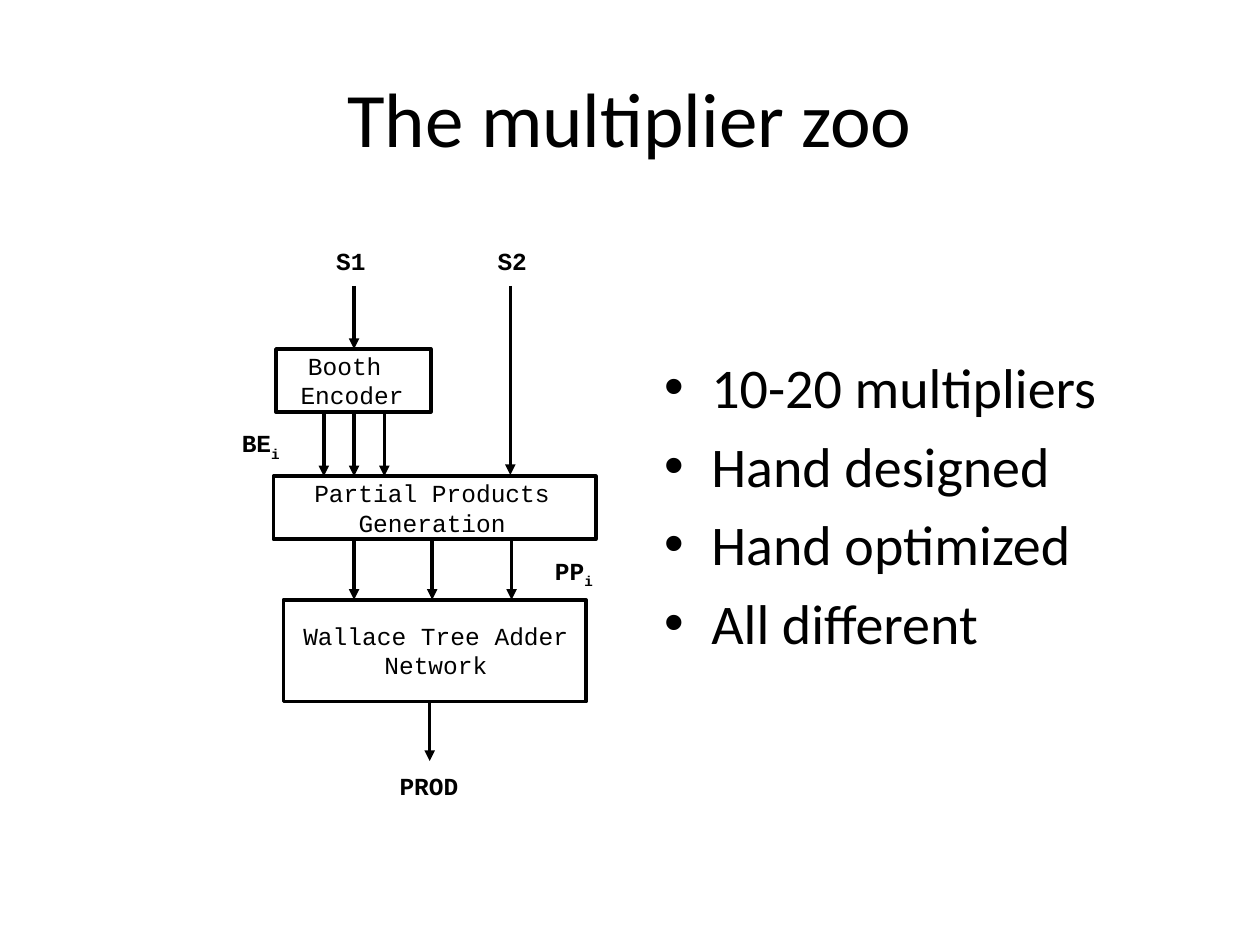
import pptx
import pptx.dml.color
import pptx.enum.shapes
import pptx.enum.text
import pptx.oxml
import pptx.oxml.ns
import pptx.util
from pptx.util import Inches

BLACK = pptx.dml.color.RGBColor(0x00, 0x00, 0x00)
WHITE = pptx.dml.color.RGBColor(0xFF, 0xFF, 0xFF)


class DiagramSlide:
    """Holds the style and the current slide, and adds each kind of element."""

    text_font = "Calibri"
    diagram_font = "Courier New"
    label_size = pptx.util.Pt(14)
    line_width = pptx.util.Pt(2)

    def __init__(self, presentation):
        self.slide = presentation.slides.add_slide(presentation.slide_layouts[1])

    def format_font(self, paragraph, name, size, bold=None):
        paragraph.font.name = name
        paragraph.font.size = size
        paragraph.font.bold = bold
        paragraph.font.color.rgb = BLACK

    def place(self, shape, left, top, width, height):
        shape.left, shape.top = Inches(left), Inches(top)
        shape.width, shape.height = Inches(width), Inches(height)

    def title(self, text, bounds):
        shape = self.slide.shapes.title
        self.place(shape, *bounds)
        shape.text_frame.text = text
        shape.text_frame.vertical_anchor = pptx.enum.text.MSO_ANCHOR.MIDDLE
        paragraph = shape.text_frame.paragraphs[0]
        paragraph.alignment = pptx.enum.text.PP_ALIGN.CENTER
        self.format_font(paragraph, self.text_font, pptx.util.Pt(44))

    def bullets(self, items, bounds):
        shape = self.slide.placeholders[1]
        self.place(shape, *bounds)
        shape.text_frame.text = "\n".join(items)
        for paragraph in shape.text_frame.paragraphs:
            self.format_font(paragraph, self.text_font, pptx.util.Pt(32))

    def rectangle(self, left, top, width, height):
        shape = self.slide.shapes.add_shape(
            pptx.enum.shapes.MSO_SHAPE.RECTANGLE,
            Inches(left), Inches(top), Inches(width), Inches(height))
        shape.shadow.inherit = False
        shape.fill.background()
        shape.line.color.rgb = BLACK
        shape.line.width = self.line_width
        return shape

    def fill_label(self, shape, text, subscript="", bold=True, middle=False):
        frame = shape.text_frame
        frame.word_wrap = True
        frame.margin_left = frame.margin_right = Inches(0.05)
        frame.margin_top = frame.margin_bottom = Inches(0.02)
        anchors = pptx.enum.text.MSO_ANCHOR
        frame.vertical_anchor = anchors.MIDDLE if middle else anchors.TOP
        frame.text = text
        for paragraph in frame.paragraphs:
            paragraph.alignment = pptx.enum.text.PP_ALIGN.CENTER
            self.format_font(paragraph, self.diagram_font, self.label_size, bold)
        if subscript:
            run = frame.paragraphs[0].add_run()
            run.text = subscript
            run.font._element.set("baseline", "-25000")

    def label(self, text, left, top, width, height=0.27, **style):
        shape = self.slide.shapes.add_textbox(
            Inches(left), Inches(top), Inches(width), Inches(height))
        self.fill_label(shape, text, **style)

    def filled_label(self, text, left, top, width, height=0.27, **style):
        shape = self.rectangle(left, top, width, height)
        shape.fill.solid()
        shape.fill.fore_color.rgb = WHITE
        shape.line.fill.background()
        self.fill_label(shape, text, **style)

    def down_arrow(self, x, top, bottom):
        connector = self.slide.shapes.add_connector(
            pptx.enum.shapes.MSO_CONNECTOR.STRAIGHT,
            Inches(x), Inches(top), Inches(x), Inches(bottom))
        connector.line.color.rgb = BLACK
        connector.line.width = self.line_width
        namespace = pptx.oxml.ns.nsdecls("a")
        line = connector.line._get_or_add_ln()
        line.append(pptx.oxml.parse_xml(f'<a:tailEnd {namespace} type="triangle"/>'))
        connector._element.spPr.append(
            pptx.oxml.parse_xml(f"<a:effectLst {namespace}/>"))


def main():
    presentation = pptx.Presentation()
    presentation.slide_width = Inches(10)
    presentation.slide_height = Inches(7.5)
    diagram = DiagramSlide(presentation)

    diagram.title("The multiplier zoo", (0.5, 0.3, 9, 1.25))
    diagram.bullets(
        ["10-20 multipliers", "Hand designed", "Hand optimized", "All different"],
        (5.17, 2.75, 4.33, 3.01))

    stages = [
        ("Booth \nEncoder", (2.19, 2.77, 1.23, 0.5), (2.11, 2.79, 1.37)),
        ("Partial Products Generation", (2.17, 3.78, 2.56, 0.5), (2.34, 3.8, 2.18)),
        ("Wallace Tree Adder Network", (2.25, 4.76, 2.4, 0.81), (2.25, 4.93, 2.42)),
    ]
    for text, box, text_place in stages:
        diagram.rectangle(*box)
        diagram.label(text, *text_place, height=0.46, bold=None, middle=True)

    arrow_rows = [
        ((2.81,), 2.27, 2.77),
        ((4.05,), 2.27, 3.77),
        ((2.57, 2.81, 3.05), 3.28, 3.78),
        ((2.81, 3.43, 4.06), 4.27, 4.76),
        ((3.41,), 5.57, 6.04),
    ]
    for columns, top, bottom in arrow_rows:
        for x in columns:
            diagram.down_arrow(x, top, bottom)

    diagram.label("S1", 2.48, 1.93, 0.61)
    diagram.label("S2", 3.72, 1.93, 0.69)
    diagram.label("PROD", 3.06, 6.1, 0.69)
    diagram.label("BE", 1.62, 3.38, 0.9, subscript="i")
    diagram.filled_label("PP", 4.25, 4.39, 0.61, subscript="i")

    presentation.save("out.pptx")


if __name__ == "__main__":
    main()
